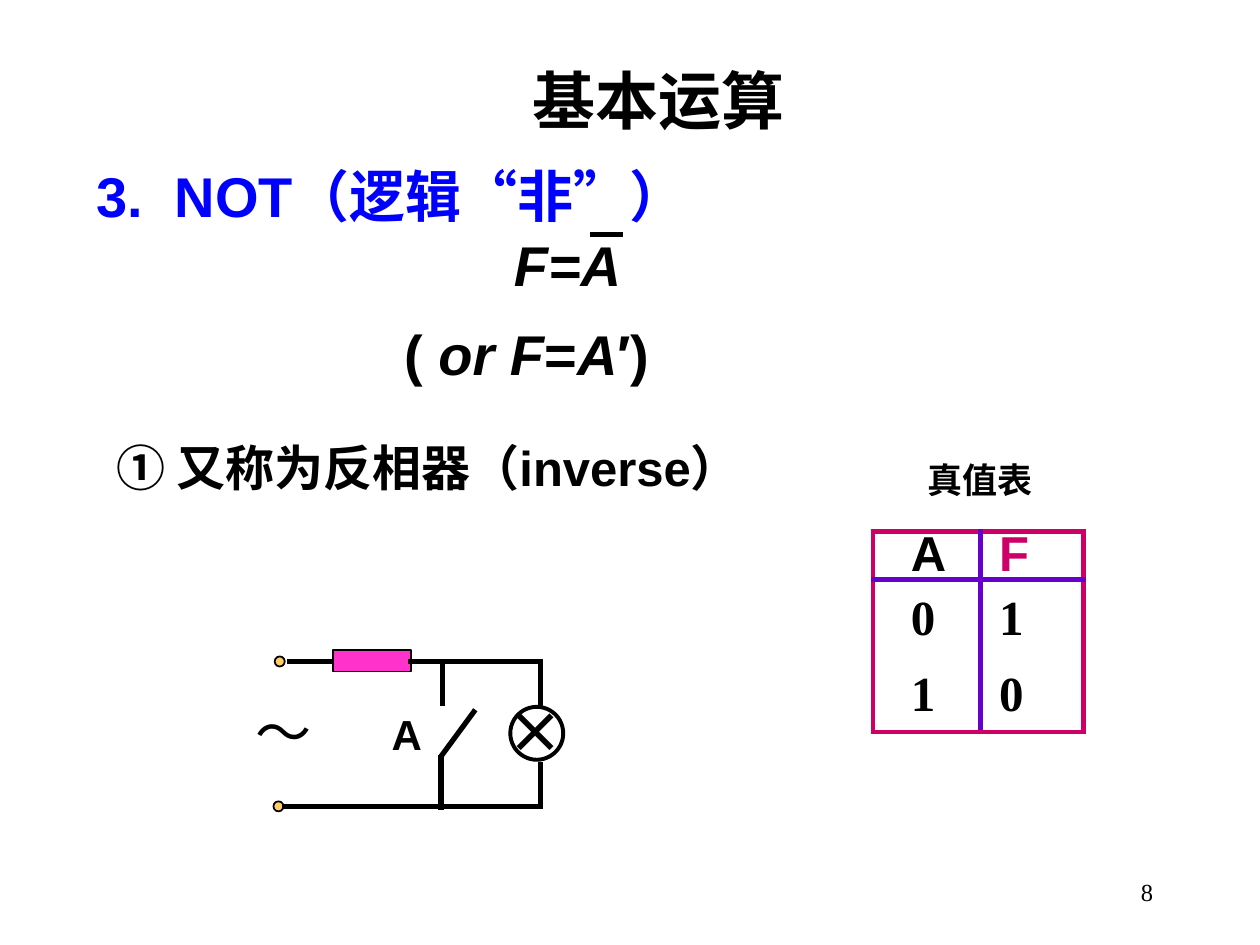
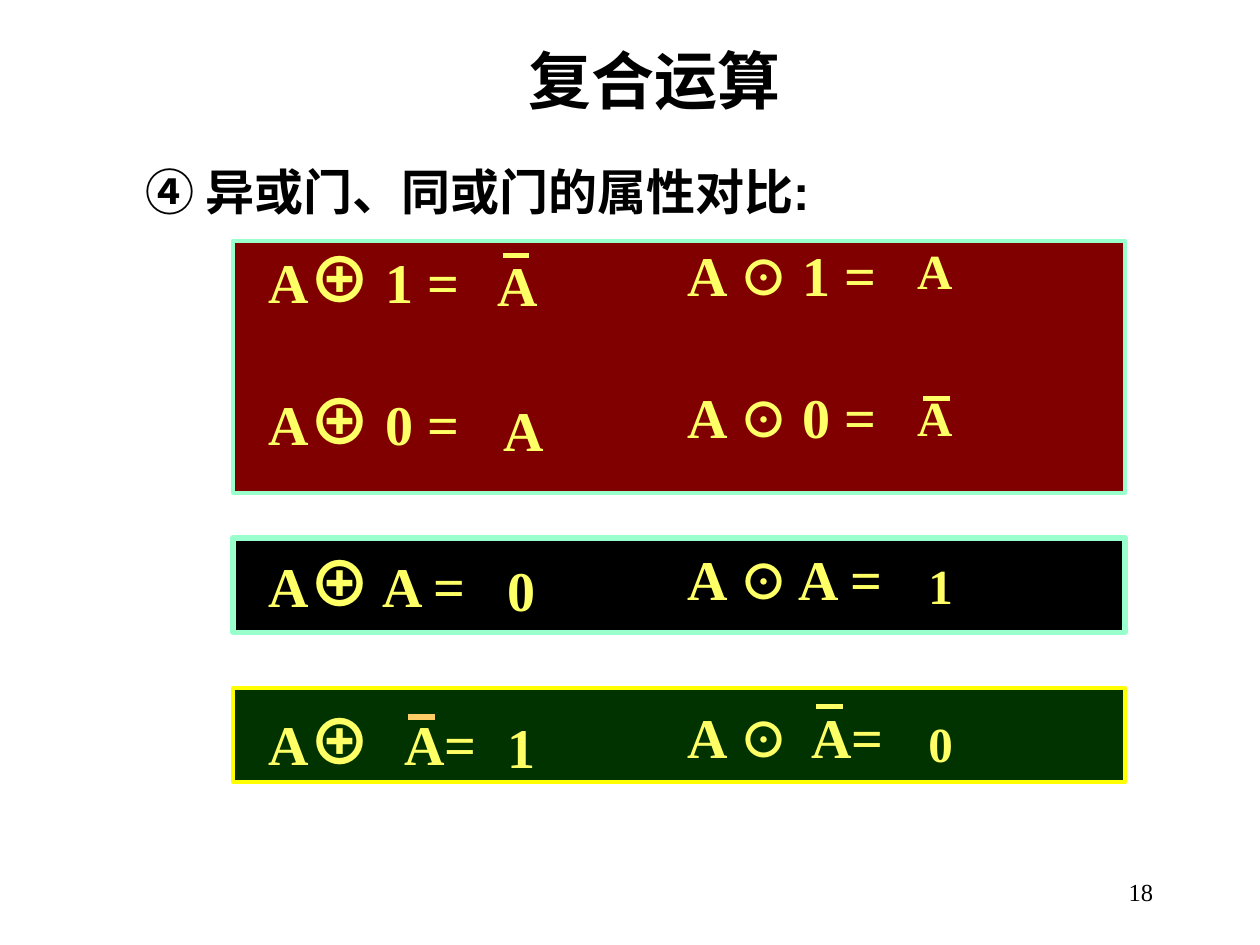
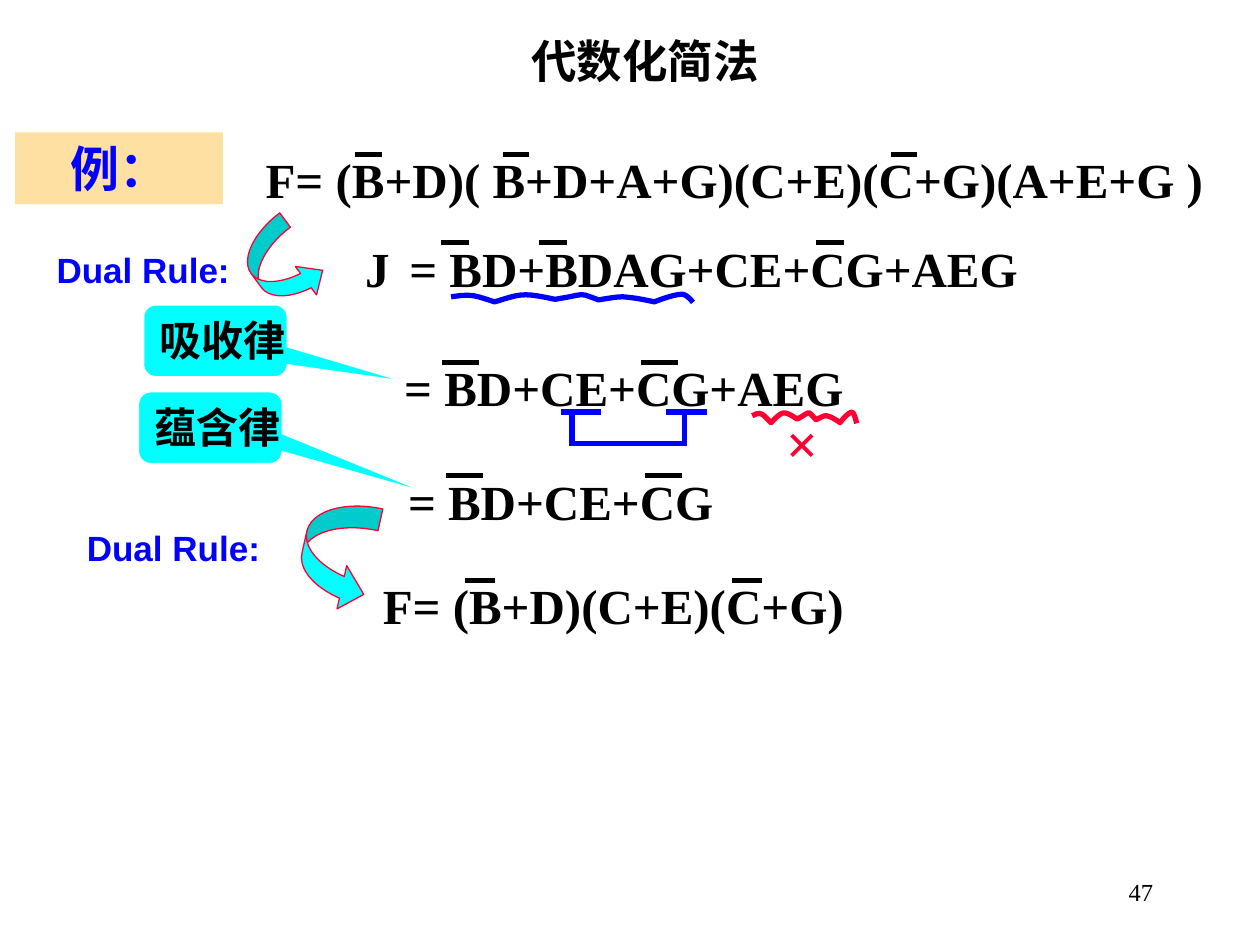
from dataclasses import dataclass, replace

from lxml import etree
from pptx import Presentation
from pptx.dml.color import RGBColor
from pptx.enum.shapes import MSO_CONNECTOR, MSO_SHAPE
from pptx.enum.text import MSO_ANCHOR, MSO_AUTO_SIZE, PP_ALIGN
from pptx.oxml.ns import qn
from pptx.util import Inches, Pt

COLORS = {
    "black": "000000", "white": "FFFFFF", "blue": "0000FF", "red": "FF0033",
    "amber": "FFCC66", "resistor": "FF33CC", "frame": "CC0066", "rule": "6600CC",
    "maroon": "800000", "mint": "99FFCC", "green": "003300", "yellow": "FFFF00",
    "formula": "FFFF66", "cream": "FFE0A3", "cyan": "00FFFF",
}
# The slide is a grid of 100 columns by 75 rows; every length counts its cells.
CELL = Inches(10) // 100
COLUMNS, ROWS = 100, 75
SANS, SERIF, CJK = "Arial", "Times New Roman", "Noto Sans CJK SC"
LEFT, CENTER, RIGHT = PP_ALIGN.LEFT, PP_ALIGN.CENTER, PP_ALIGN.RIGHT
TOP, MIDDLE, BOTTOM = MSO_ANCHOR.TOP, MSO_ANCHOR.MIDDLE, MSO_ANCHOR.BOTTOM
RECT, OVAL = MSO_SHAPE.RECTANGLE, MSO_SHAPE.OVAL
CALLOUT = MSO_SHAPE.ROUNDED_RECTANGULAR_CALLOUT
CURVED_ARROW = MSO_SHAPE.CURVED_RIGHT_ARROW
STRAIGHT = MSO_CONNECTOR.STRAIGHT

# Start point, then cubic curves, as shares of the wave's box.
WAVE_START = (0, 0.45)
WAVE_CURVES = [
    ((0.09, 0.1), (0.1, 0.35), (0.18, 0.95)),
    ((0.21, 0.75), (0.27, 0.2), (0.31, 0.25)),
    ((0.35, 0.25), (0.43, 0.7), (0.43, 0.7)),
    ((0.57, 0.15), (0.52, 0), (0.61, 0.75)),
    ((0.65, 0.6), (0.68, 0.45), (0.71, 0.45)),
    ((0.76, 0.5), (0.84, 0.95), (0.84, 0.95)),
    ((0.85, 0.85), (0.93, 0.1), (0.96, 0.2)),
    ((0.98, 0.35), (1, 1), (1, 1)),
]


@dataclass(frozen=True)
class Style:
    size: float
    font: str = SANS
    color: str = "black"
    bold: bool = True
    italic: bool = False


HEADING = Style(32, color="blue")
MATH = Style(32, italic=True)
EQUATION = Style(28, SERIF)
FORMULA = Style(32, SERIF, "formula")
RULE_NAME = Style(20, color="blue")


def rgb(name):
    return RGBColor.from_string(COLORS[name])


def cells(*counts):
    return [round(count * CELL) for count in counts]


def write(frame, runs, align=LEFT, anchor=TOP, wrap=True):
    """Fill a frame's first paragraph with (words, style) runs."""
    frame.word_wrap = wrap
    frame.auto_size = MSO_AUTO_SIZE.NONE
    frame.vertical_anchor = anchor
    para = frame.paragraphs[0]
    para.alignment = align
    for words, style in runs:
        span = para.add_run()
        span.text = words
        font = span.font
        font.size, font.bold, font.italic = Pt(style.size), style.bold, style.italic
        font.color.rgb = rgb(style.color)
        font.name = style.font
        east_asian = etree.SubElement(font._element, qn("a:ea"))
        east_asian.set("typeface", CJK)
    return para


def set_tab(para, stop):
    tabs = etree.SubElement(para._p.get_or_add_pPr(), qn("a:tabLst"))
    etree.SubElement(tabs, qn("a:tab"), pos=str(round(stop * CELL)), algn="l")


def paint(shape, fill, edge, weight):
    shape.shadow.inherit = False
    if fill:
        shape.fill.solid()
        shape.fill.fore_color.rgb = rgb(fill)
    else:
        shape.fill.background()
    if edge:
        shape.line.color.rgb = rgb(edge)
        shape.line.width = Pt(weight)
    else:
        shape.line.fill.background()


@dataclass
class Region:
    """A part of a slide; its parts are placed from its top left corner."""
    page: object
    left: float = 0
    top: float = 0
    width: float = COLUMNS
    height: float = ROWS

    def spot(self, x, y):
        return cells(self.left + x, self.top + y)

    def text(self, x, y, width, height, *runs, tab=None, **layout):
        box = self.page.shapes.add_textbox(*self.spot(x, y), *cells(width, height))
        para = write(box.text_frame, runs, **layout)
        if tab:
            set_tab(para, tab)

    def shape(self, kind, x, y, width, height, fill=None, edge=None, weight=1):
        shape = self.page.shapes.add_shape(
            kind, *self.spot(x, y), *cells(width, height))
        paint(shape, fill, edge, weight)
        return shape

    def line(self, x1, y1, x2, y2, color="black"):
        """Draw a line whose square ends close the joints."""
        line = self.page.shapes.add_connector(
            STRAIGHT, *self.spot(x1, y1), *self.spot(x2, y2))
        line.line.color.rgb = rgb(color)
        line.line.width = Pt(3)
        properties = line._element.spPr
        properties.find(qn("a:ln")).set("cap", "sq")
        etree.SubElement(properties, qn("a:effectLst"))

    def bar(self, x, y, length, color="black"):
        self.line(x, y, x + length, y, color)


def cubic(start, curve, share):
    rest = 1 - share
    weights = (rest ** 3, 3 * rest ** 2 * share, 3 * rest * share ** 2, share ** 3)
    points = (start, *curve)
    return tuple(sum(w * point[axis] for w, point in zip(weights, points))
                 for axis in (0, 1))


def wavy_line(region, color, steps=6):
    def on_slide(point):
        return region.spot(point[0] * region.width, point[1] * region.height)

    start, points = WAVE_START, []
    for curve in WAVE_CURVES:
        points += [on_slide(cubic(start, curve, step / steps))
                   for step in range(1, steps + 1)]
        start = curve[-1]
    builder = region.page.shapes.build_freeform(*on_slide(WAVE_START))
    builder.add_line_segments(points, close=False)
    paint(builder.convert_to_shape(), None, color, 3)


def new_page(deck, title, number, box, size=36):
    """Add a title-only slide with its title and page number."""
    page = deck.slides.add_slide(deck.slide_layouts[5])
    heading = page.shapes.title
    heading.left, heading.top, heading.width, heading.height = cells(*box)
    write(heading.text_frame, [(title, Style(size))], CENTER)
    Region(page).text(71.7, 68.3, 20.8, 5, (str(number), Style(14, SERIF, bold=False)),
                      align=RIGHT, anchor=MIDDLE)
    return page


def circuit(region):
    terminal = dict(fill="amber", edge="black")
    wires = [
        (23.6, 1.1, 23.6, 4.2), (23.6, 9.1, 23.6, 12.4),      # lamp
        (23.3, 12.4, 3.3, 12.4),                              # return
        (13.3, 0.9, 23.6, 0.9), (6.9, 0.9, 3.7, 0.9),         # supply
        (15.8, 0.9, 15.8, 4.2), (15.7, 8.5, 15.7, 12.5),      # switch
        (15.8, 8.3, 18.3, 4.9),
    ]
    region.text(20, 3.3, 8.3, 6.5, ("×", Style(32, CJK)))
    region.shape(OVAL, 21.2, 4.5, 4.2, 4.2, edge="black", weight=2.25)
    for x, y in ((2.5, 0.5), (2.4, 12)):
        region.shape(OVAL, x, y, 0.8, 0.8, **terminal)
    region.text(0, 3.3, 5.8, 6.5, ("～", Style(32, SERIF, bold=False)))
    region.shape(RECT, 7.1, 0, 6.2, 1.7, "resistor", "black")
    for wire in wires:
        region.line(*wire)
    region.text(10.8, 4.1, 5, 5.1, ("A", Style(24)))


def cell_edge(side, color):
    if color is None:
        edge = etree.Element(qn(f"a:ln{side}"), w="0")
        etree.SubElement(edge, qn("a:noFill"))
        return edge
    edge = etree.Element(qn(f"a:ln{side}"), w=str(Pt(3)))
    fill = etree.SubElement(edge, qn("a:solidFill"))
    etree.SubElement(fill, qn("a:srgbClr"), val=COLORS[color])
    return edge


def truth_table(region, rows, row_heights, column_widths):
    region.text(-0.8, -6.3, 18.5, 4.3, ("真值表", Style(20)), align=CENTER)
    frame = region.page.shapes.add_table(
        len(rows), len(column_widths), *region.spot(0, 0),
        *cells(region.width, region.height))
    table = frame.table
    table.first_row = table.horz_banding = False
    for column, width in zip(table.columns, cells(*column_widths)):
        column.width = width
    for row, height in zip(table.rows, cells(*row_heights)):
        row.height = height
    across = ["frame", "rule", None, "frame"]
    down = ["frame", "rule", "frame"]
    for r, values in enumerate(rows):
        for c, (value, margin) in enumerate(zip(values, (3, 1.5))):
            cell = table.cell(r, c)
            cell.margin_left, cell.margin_top, cell.margin_bottom = cells(margin, 0, 0)
            style = EQUATION if r else Style(28, color="frame" if c else "black")
            para = write(cell.text_frame, [(value, style)])
            para.line_spacing = 0.7
            cell.vertical_anchor = MIDDLE if r else BOTTOM
            cell.fill.solid()
            cell.fill.fore_color.rgb = rgb("white")
            edges = zip("LRTB", (*down[c:c + 2], *across[r:r + 2]))
            properties = cell._tc.get_or_add_tcPr()
            for order, (side, color) in enumerate(edges):
                properties.insert(order, cell_edge(side, color))


def not_slide(deck):
    page = new_page(deck, "基本运算", 8, (15.6, 4.4, 73.4, 7.1))
    body = Region(page)
    body.text(6.7, 12.3, 52, 6.3, ("3.\tNOT（逻辑“非”）", HEADING), tab=6.2)
    body.text(39.8, 17.8, 12.5, 6.3, ("F=A", MATH))
    body.bar(47, 18.6, 2.2)
    upright = replace(MATH, italic=False)
    body.text(31.1, 24.9, 26, 6.3, ("( ", upright), ("or F", MATH), ("=", upright),
              ("A", MATH), ("′)", upright))
    body.text(8.3, 34.2, 76.4, 5.7, ("① 又称为", Style(28, CJK)),
              ("反相器（inverse）", Style(28)))
    circuit(Region(page, 19.3, 51.6))
    truth_table(Region(page, 69.3, 42.2, 16.7, 15.9),
                ["AF", "01", "10"], (3.8, 7, 5.1), (8.5, 8.2))


def panel(region, fill, edge, weight, rows, bars):
    """Frame rows of XOR (left) and XNOR (right) equations."""
    region.shape(RECT, 0, 0, region.width, region.height, fill, edge, weight)
    symbol = Style(36, CJK, "formula")
    dot = replace(symbol, size=28)
    answer = replace(FORMULA, size=28)
    for y, operand, xor, xnor in rows:
        region.text(1.8, y, 20.7, 7, ("A", FORMULA), ("⊕", symbol),
                    (operand, FORMULA), tab=10.8)
        region.text(35.1, y, 20.8, 6.3, ("A ", FORMULA), ("⊙", dot),
                    (operand, FORMULA), tab=9.8)
        for (value, x, drop), style in ((xor, FORMULA), (xnor, answer)):
            region.text(x, y + drop, 8.3, 6.3, (value, style))
    for x, y, color in bars:
        region.bar(x, y, 1.7, color)


def compound_slide(deck):
    page = new_page(deck, "复合运算", 18, (16.4, 2.8, 71.1, 7.1))
    Region(page).text(10.6, 12.3, 59.5, 5.7, ("④ ", Style(28, CJK)),
                      ("异或门、同或门的属性对比", EQUATION), (":", Style(28)))
    panel(Region(page, 18.5, 19.1, 70.8, 20), "maroon", "mint", 2.25,
          [(-0.5, " 1 =", ("A", 20, 0.8), ("A", 53.3, 0)),
           (10.8, " 0 =", ("A", 20.5, 1), ("A", 53.3, 0.4))],
          [(21.6, 1.2, "formula"), (55, 12.5, "formula")])
    panel(Region(page, 18.5, 42.7, 70.8, 7.5), "black", "mint", 3,
          [(0, " A =", ("0", 20.8, 0.9), ("1", 54.2, 0.9))], [])
    panel(Region(page, 18.5, 54.6, 70.8, 7.5), "green", "yellow", 2.25,
          [(0.7, "\tA=", ("1", 20.8, 0.8), ("0", 54.2, 0.8))],
          [(14.1, 2.3, "amber"), (46.5, 1.5, "formula")])


def equation(region, words, bar_length, bar_starts, tab=None):
    region.text(0, 0, region.width, 5.7, (words, EQUATION), tab=tab)
    for x in bar_starts:
        region.bar(x, 0.85, bar_length)


def bracket(region):
    """Join the two marked terms from below."""
    inset, mark = 0.7, 2.8
    for x in (0, region.width - mark):
        region.bar(x, 0, mark, "blue")
    right = region.width - 1.6
    for x in (inset, right):
        region.line(x, 0, x, region.height, "blue")
    region.bar(inset, region.height, right - inset, "blue")


def law_callout(region, words, pointer):
    shape = region.shape(CALLOUT, 0, 0, 11.4, 5.7, "cyan", "white", 0.75)
    for index, share in enumerate((*pointer, 0.17)):
        shape.adjustments[index] = share
    write(shape.text_frame, [(words, Style(24, SERIF))], wrap=False)


def dual_arrow(region, turn, bend):
    shape = region.shape(CURVED_ARROW, 0, 0, region.width, region.height,
                         "cyan", "red", 0.75)
    shape.rotation = turn
    for index, share in enumerate((bend, 2 * bend, 0.33)):
        shape.adjustments[index] = share


def simplify_slide(deck):
    page = new_page(deck, "代数化简法", 47, (12.2, 2.1, 78, 5.3), 26)
    body = Region(page)
    body.text(61.4, 31.9, 5.8, 6.3, ("×", Style(32, SERIF, "red")))
    equation(Region(page, 20.1, 11.4, 77.5),
             "F= (B+D)( B+D+A+G)(C+E)(C+G)(A+E+G )", 1.7, (8.3, 20, 50.8))
    equation(Region(page, 28, 18.4, 57.5),
             "J\t= BD+BDAG+CE+CG+AEG", 1.8, (7.2, 15, 37), tab=3.5)
    wavy_line(Region(page, 35.8, 23.2, 19.2, 0.8), "blue")
    bracket(Region(page, 44.7, 32.7, 11.2, 2.5))
    wavy_line(Region(page, 59.7, 32.5, 8.3, 1.1), "red")
    equation(Region(page, 31.1, 27.9, 38.3), "= BD+CE+CG+AEG", 2.5, (4.2, 20))
    equation(Region(page, 31.4, 36.9, 38.3), "= BD+CE+CG", 2.5, (4.2, 20))
    equation(Region(page, 29.4, 45.2, 43), "F= (B+D)(C+E)(C+G)", 2, (7.7, 28.9))
    label = body.shape(RECT, 1.2, 10.5, 16.5, 5.7, "cream")
    write(label.text_frame, [("例：", replace(EQUATION, color="blue"))], CENTER)
    for x, y in ((3.5, 19.2), (5.9, 41.3)):
        body.text(x, y, 16.5, 4.3, ("Dual Rule:", RULE_NAME))
    dual_arrow(Region(page, 20.1, 17.6, 4.7, 7.1), 323.2, 0.3)
    dual_arrow(Region(page, 24, 39.7, 5.5, 8.7), 12.6, 0.32)
    law_callout(Region(page, 11, 31.1), "蕴含律", (1.5, 0.9))
    law_callout(Region(page, 11.4, 24.2), "吸收律", (1.3, 0.56))


def main():
    deck = Presentation()
    deck.slide_width, deck.slide_height = cells(COLUMNS, ROWS)
    not_slide(deck)
    compound_slide(deck)
    simplify_slide(deck)
    deck.save("out.pptx")


if __name__ == "__main__":
    main()
